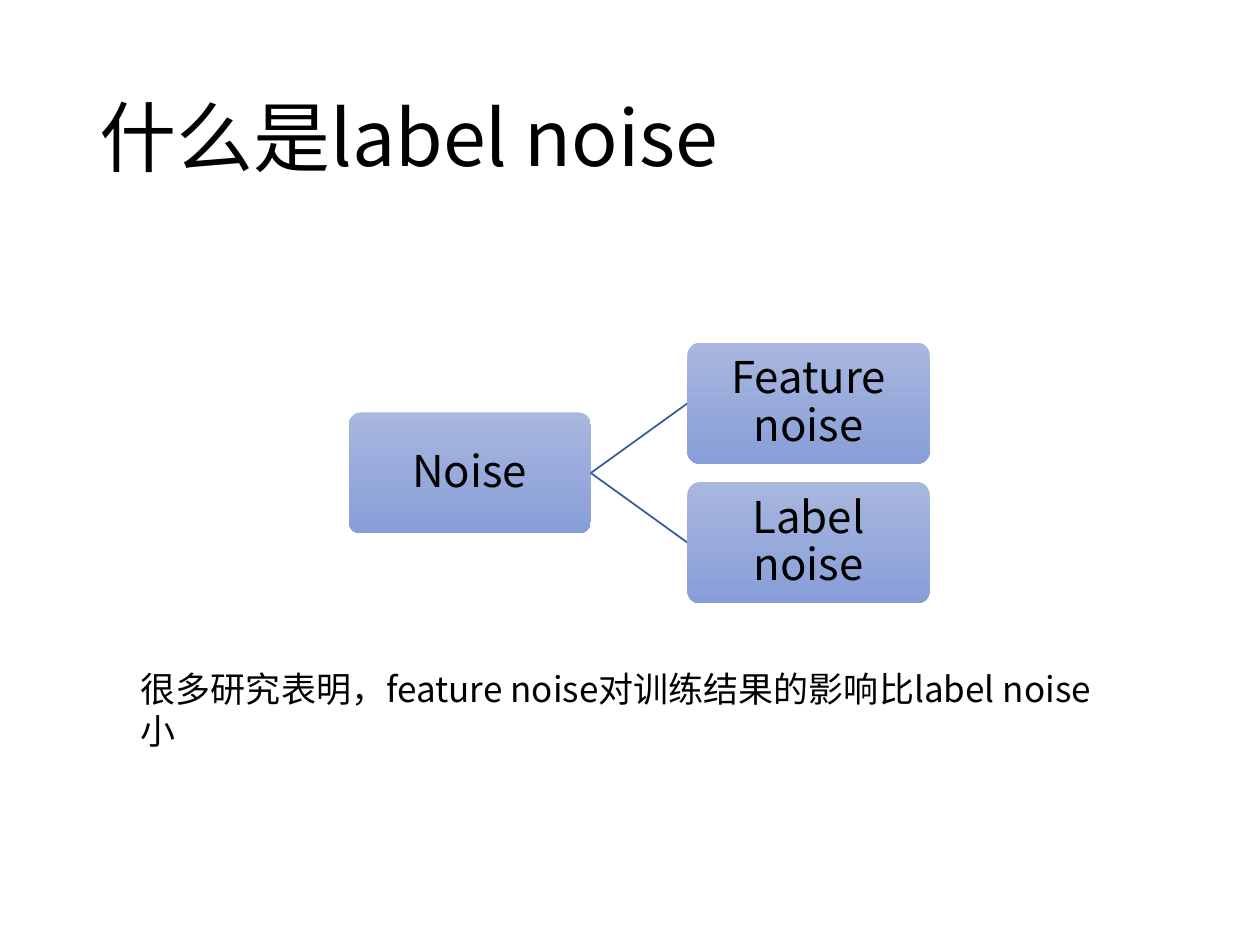
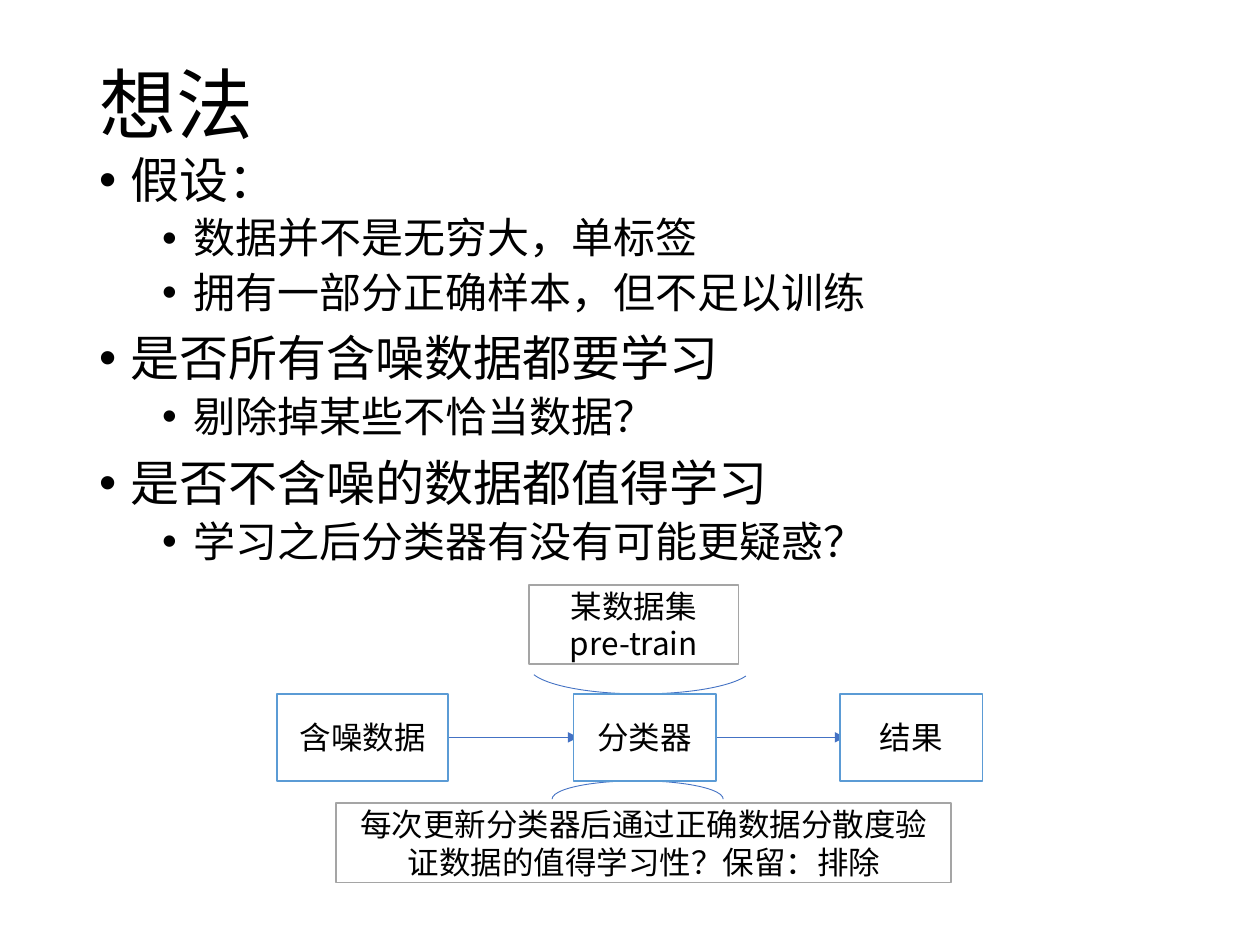
from lxml import etree
from pptx import Presentation
from pptx.dml.color import RGBColor
from pptx.enum.shapes import MSO_CONNECTOR, MSO_SHAPE
from pptx.enum.text import MSO_ANCHOR, PP_ALIGN
from pptx.oxml.ns import qn
from pptx.util import Cm, Pt

LEFT, CENTER = PP_ALIGN.LEFT, PP_ALIGN.CENTER
TOP, MIDDLE = MSO_ANCHOR.TOP, MSO_ANCHOR.MIDDLE
RECT, ROUND, ARC = MSO_SHAPE.RECTANGLE, MSO_SHAPE.ROUNDED_RECTANGLE, MSO_SHAPE.ARC
STRAIGHT = MSO_CONNECTOR.STRAIGHT

FONT = "Noto Sans CJK SC"
COLORS = {
    "text": "000000", "paper": "FFFFFF",
    "light": "A8B7DF", "deep": "889ED7", "branch": "365B9D",
    "node": "5B9BD5", "note": "A5A5A5", "link": "4472C4",
}
POINTS = [
    (0, "假设："),
    (1, "数据并不是无穷大，单标签"),
    (1, "拥有一部分正确样本，但不足以训练"),
    (0, "是否所有含噪数据都要学习"),
    (1, "剔除掉某些不恰当数据？"),
    (0, "是否不含噪的数据都值得学习"),
    (1, "学习之后分类器有没有可能更疑惑？"),
]
# size, left margin in cm, space before
LEVELS = [(28, 0.64, 10), (24, 1.91, 5)]


def color(name):
    return RGBColor.from_string(COLORS[name])


def style(par, size, align=LEFT, spacing=None):
    par.alignment = align
    par.line_spacing = spacing
    for run in par.runs:
        run.font.size = Pt(size)
        run.font.name = FONT
        run.font.color.rgb = color("text")
        latin = run.font._element.find(qn("a:latin"))
        east = etree.Element(qn("a:ea"), typeface=FONT)
        latin.addnext(east)


def add_text(slide, box, text, size, anchor=TOP, spacing=None):
    frame = slide.shapes.add_textbox(*map(Cm, box)).text_frame
    frame.word_wrap = True
    frame.vertical_anchor = anchor
    frame.text = text
    for par in frame.paragraphs:
        style(par, size, spacing=spacing)
    return frame


def add_title(slide, box, text):
    add_text(slide, box, text, 44, MIDDLE, 0.9)


def add_box(slide, kind, box, text, size, spacing=None):
    """Add a shape with centred text, leaving fill and line to the caller."""
    shape = slide.shapes.add_shape(kind, *map(Cm, box))
    shape.shadow.inherit = False
    frame = shape.text_frame
    frame.word_wrap = True
    frame.vertical_anchor = MIDDLE
    frame.text = text
    style(frame.paragraphs[0], size, CENTER, spacing)
    return shape


def add_line(slide, start, end, name, width, arrow=False):
    line = slide.shapes.add_connector(STRAIGHT, *map(Cm, (*start, *end)))
    line.line.color.rgb = color(name)
    line.line.width = Pt(width)
    if arrow:
        etree.SubElement(line.line._get_or_add_ln(), qn("a:tailEnd"), type="triangle")
    etree.SubElement(line._element.spPr, qn("a:effectLst"))


def add_arc(slide, box, angles, flip=False):
    """Add an open arc between two angles in degrees."""
    arc = slide.shapes.add_shape(ARC, *map(Cm, box))
    arc.shadow.inherit = False
    arc.fill.background()
    arc.line.color.rgb = color("link")
    arc.line.width = Pt(0.5)
    for i, angle in enumerate(angles):
        arc.adjustments[i] = angle * 0.6
    if flip:
        arc._element.spPr.find(qn("a:xfrm")).set("flipV", "1")


def add_tree(slide, box, root, leaves):
    """Draw a root joined to a column of leaves on its right."""
    left, top, width, height = box
    wide, high = 4.88, 2.44
    column = left + width - wide
    step = (height - high) / (len(leaves) - 1)
    middle = top + height / 2

    def add_node(x, y, text):
        node = add_box(slide, ROUND, (x, y, wide, high), text, 25, 0.9)
        node.adjustments[0] = 0.1
        node.fill.gradient()
        node.fill.gradient_angle = 270
        for stop, name in zip(node.fill.gradient_stops, ("light", "deep")):
            stop.color.rgb = color(name)
        node.line.fill.background()
        frame = node.text_frame
        frame.margin_left = frame.margin_right = Cm(0.05)
        frame.margin_top = frame.margin_bottom = Cm(0.05)

    add_node(left, middle - high / 2, root)
    for i, leaf in enumerate(leaves):
        y = top + i * step
        add_line(slide, (left + wide, middle), (column, y + high / 2), "branch", 1)
        add_node(column, y, leaf)


def add_points(slide, box, points):
    frame = add_text(slide, box, "\n".join(text for _, text in points), 28)
    for par, (level, _) in zip(frame.paragraphs, points):
        size, margin, before = LEVELS[level]
        par.level = level
        par.space_before = Pt(before)
        par.line_spacing = 0.9
        for run in par.runs:
            run.font.size = Pt(size)
        props = par._p.get_or_add_pPr()
        props.set("marL", str(Cm(margin)))
        props.set("indent", str(-Cm(0.64)))
        etree.SubElement(props, qn("a:buFont"), typeface="Arial")
        etree.SubElement(props, qn("a:buChar"), char="•")


def add_flow(slide, box):
    """Draw three linked steps with a note above and one below."""
    left, top, width, height = box
    row, high, note = top + 2.2, 1.75, 1.6
    steps = [(0, 3.45, "含噪数据"), (5.97, 2.87, "分类器"),
             (width - 2.87, 2.87, "结果")]
    notes = [(5.08, 0, 4.22, "某数据集pre-train"),
             (1.19, height - note, 12.4, "每次更新分类器后通过正确数据分散度验证数据的值得学习性？保留：排除")]

    def add_frame(x, y, wide, tall, text, name):
        shape = add_box(slide, RECT, (left + x, y, wide, tall), text, 18)
        shape.fill.solid()
        shape.fill.fore_color.rgb = color("paper")
        shape.line.color.rgb = color(name)
        shape.line.width = Pt(1)

    for (x, wide, _), (goal, _, _) in zip(steps, steps[1:]):
        y = row + high / 2
        add_line(slide, (left + x + wide, y), (left + goal + 0.1, y), "link", 0.5, True)
    add_arc(slide, (left + 5.54, row + high, 3.45, 0.74), (180, 0))
    add_arc(slide, (left + 5.08, row - 1.09, 4.5, 1.09), (184.17, 355.03), True)
    for x, wide, text in steps:
        add_frame(x, row, wide, high, text, "node")
    for x, y, wide, text in notes:
        add_frame(x, top + y, wide, note, text, "note")


def build_noise(slide):
    add_title(slide, (1.75, 1.02, 21.9, 3.68), "什么是label noise")
    add_tree(slide, (7.03, 6.91, 11.71, 5.25), "Noise", ["Feature noise", "Label noise"])
    add_text(slide, (2.59, 13.34, 20.24, 1.12),
             "很多研究表明，feature noise对训练结果的影响比label noise小", 20)


def build_ideas(slide):
    add_title(slide, (1.75, 1.02, 13.72, 2.34), "想法")
    add_points(slide, (1.75, 3.02, 21.9, 12.09), POINTS)
    add_flow(slide, (5.59, 11.79, 14.22, 6))


def main():
    deck = Presentation()
    deck.slide_width, deck.slide_height = Cm(25.4), Cm(19.05)
    for build in (build_noise, build_ideas):
        build(deck.slides.add_slide(deck.slide_layouts[6]))
    deck.save("out.pptx")


if __name__ == "__main__":
    main()
